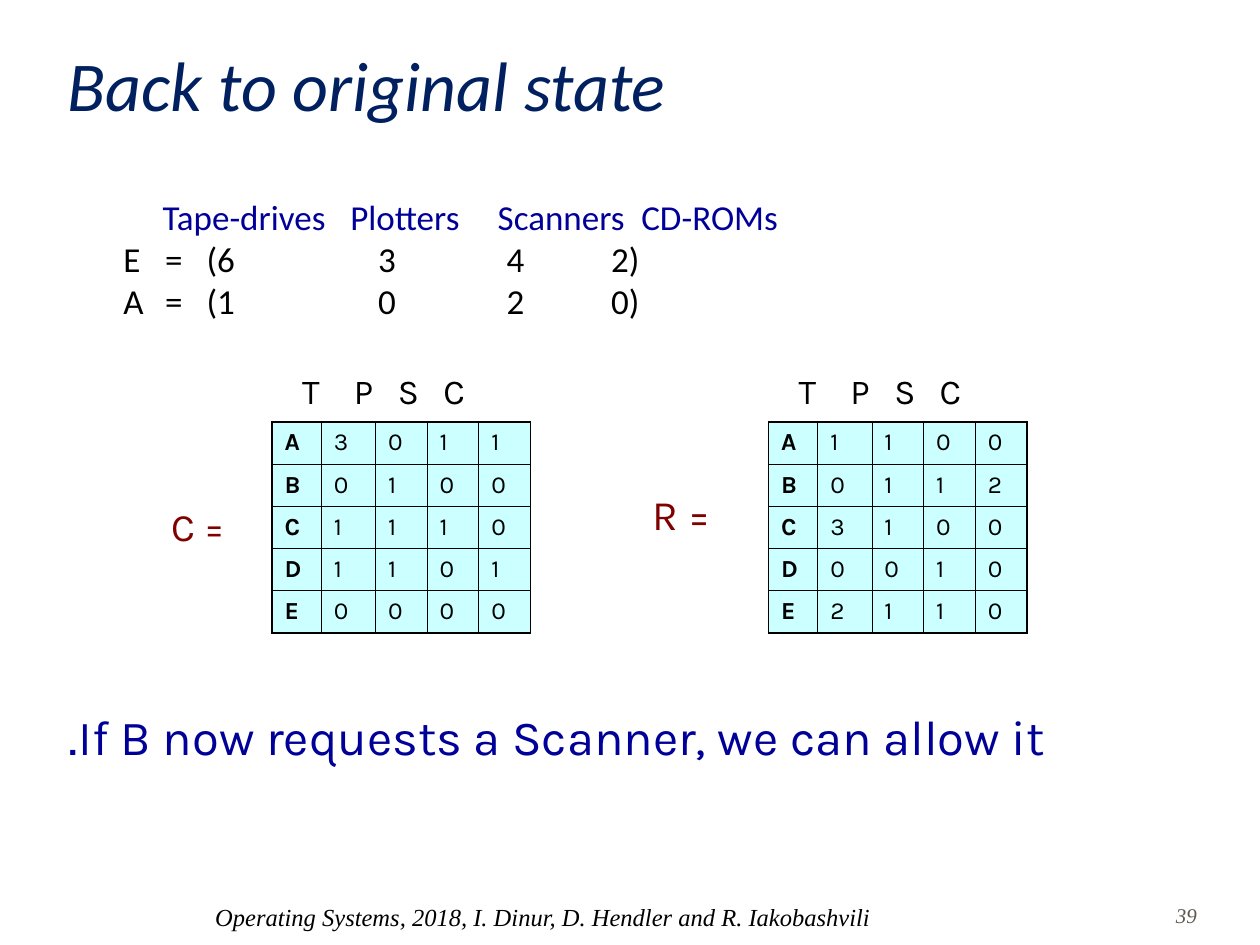
"""Build the slide on the resource matrices after the return to the first state."""
from pptx import Presentation
from pptx.dml.color import RGBColor
from pptx.enum.text import MSO_ANCHOR, PP_ALIGN
from pptx.oxml.ns import qn
from pptx.util import Inches, Pt
from lxml.etree import SubElement, Element

NAVY = RGBColor(0x00, 0x20, 0x60)
BLUE = RGBColor(0x00, 0x00, 0x99)
BLACK = RGBColor(0x00, 0x00, 0x00)
MAROON = RGBColor(0x80, 0x00, 0x00)
CYAN = RGBColor(0xCC, 0xFF, 0xFF)
GREY = RGBColor(0x5E, 0x57, 0x4E)
SANS, KARLA, SERIF = "Calibri", "Karla", "Times New Roman"

TITLE = "Back to original state"
CLAIM = "If B now requests a Scanner, we can allow it."
FOOTER = "Operating Systems, 2018, I. Dinur, D. Hendler and R. Iakobashvili"
NUMBER = "39"
ROW_TABS = (0.33, 0.66, 2.02, 3.04, 3.87)
TOTALS = [
    ("\tTape-drives\tPlotters\tScanners\tCD-ROMs", BLUE, (0.31, 1.8, 2.97, 4.11)),
    ("E\t=\t(6\t3\t4\t2)", BLACK, ROW_TABS),
    ("A\t=\t(1\t0\t2\t0)", BLACK, ROW_TABS),
]
HEADS = "\tT\tP\tS\tC"
HEAD_TABS = (0.21, 0.62, 0.97, 1.33)
NAMES = "ABCDE"
MATRICES = [
    (2.16, ["3011", "0100", "1110", "1101", "0000"]),
    (6.1, ["1100", "0112", "3100", "0010", "2110"]),
]
LABELS = [("C =", (1.26, 3.98, 2.99, 0.47), 22.2, 0.9), ("R =", (5.08, 3.83, 0.94, 0.63), 24, 1)]
WIDTHS = (0.39, 0.43, 0.41, 0.41, 0.41)
TOP, ROW = 3.35, 0.335
THIN, THICK = 0.45, 1.08


def style(para, font, size, color, bold=False, italic=False):
    """Format the runs of a paragraph."""
    for run in para.runs:
        run.font.name, run.font.size = font, Pt(size)
        run.font.bold, run.font.italic = bold, italic
        run.font.color.rgb = color


def set_tabs(para, stops):
    """Give a paragraph left tab stops, in inches."""
    tabs = SubElement(para._p.get_or_add_pPr(), qn("a:tabLst"))
    for stop in stops:
        SubElement(tabs, qn("a:tab"), pos=str(Inches(stop)), algn="l")


def add_box(slide, place, text, font, size, color, italic=False):
    """Add a text box and return its frame."""
    frame = slide.shapes.add_textbox(*map(Inches, place)).text_frame
    frame.word_wrap = True
    frame.text = text
    style(frame.paragraphs[0], font, size, color, italic=italic)
    return frame


def add_totals(slide):
    """Add the lines of existing and available resources."""
    frame = slide.shapes.add_textbox(*map(Inches, (0.5, 1.5, 8.28, 3.67))).text_frame
    frame.word_wrap = True
    frame.margin_left = Inches(0.48)
    for i, (text, color, stops) in enumerate(TOTALS):
        para = frame.add_paragraph() if i else frame.paragraphs[0]
        para.text = text
        set_tabs(para, stops)
        style(para, SANS, 20, color)


def set_edges(cell, widths):
    """Draw the left, right, top and bottom edges of a cell."""
    props = cell._tc.get_or_add_tcPr()
    for i, (side, width) in enumerate(zip("LRTB", widths)):
        line = Element(qn("a:ln" + side), w=str(Pt(width)))
        fill = SubElement(line, qn("a:solidFill"))
        SubElement(fill, qn("a:srgbClr"), val=str(BLACK))
        props.insert(i, line)


def add_matrix(slide, left, rows):
    """Add one matrix with its column heads."""
    count, wide = len(rows), len(WIDTHS)
    place = (left, TOP, sum(WIDTHS), ROW * count)
    table = slide.shapes.add_table(count, wide, *map(Inches, place)).table
    table.first_row = table.horz_banding = False
    for col, width in zip(table.columns, WIDTHS):
        col.width = Inches(width)
    for r, (name, row) in enumerate(zip(NAMES, rows)):
        table.rows[r].height = Inches(ROW)
        for c, text in enumerate(name + row):
            cell = table.cell(r, c)
            cell.text = text
            style(cell.text_frame.paragraphs[0], KARLA, 14, BLACK, bold=c == 0)
            cell.fill.solid()
            cell.fill.fore_color.rgb = CYAN
            outer = (c == 0, c == wide - 1, r == 0, r == count - 1)
            set_edges(cell, [THICK if edge else THIN for edge in outer])
    heads = add_box(slide, (left - 0.07, 2.88, 2.68, 0.44), HEADS, KARLA, 20, BLACK)
    set_tabs(heads.paragraphs[0], HEAD_TABS)


def main():
    """Build and save the slide."""
    deck = Presentation()
    deck.slide_width, deck.slide_height = Inches(10), Inches(7.5)
    slide = deck.slides.add_slide(deck.slide_layouts[6])
    title = add_box(slide, (0.44, 0.25, 8.5, 0.83), TITLE, SANS, 40, NAVY, True)
    title.vertical_anchor = MSO_ANCHOR.MIDDLE
    add_totals(slide)
    for text, place, size, space in LABELS:
        label = add_box(slide, place, text, KARLA, size, MAROON)
        label.paragraphs[0].line_spacing = space
    for left, rows in MATRICES:
        add_matrix(slide, left, rows)
    claim = add_box(slide, (0.43, 5.56, 8.66, 0.57), CLAIM, KARLA, 28, BLUE).paragraphs[0]
    claim.alignment = PP_ALIGN.LEFT
    claim._p.get_or_add_pPr().set("rtl", "1")
    add_box(slide, (1.61, 7.11, 6.53, 0.39), FOOTER, SERIF, 14, BLACK, True)
    number = add_box(slide, (9.17, 7.11, 0.49, 0.32), NUMBER, SERIF, 12, GREY, True)
    number.paragraphs[0].alignment = PP_ALIGN.CENTER
    deck.save("out.pptx")


if __name__ == "__main__":
    main()
